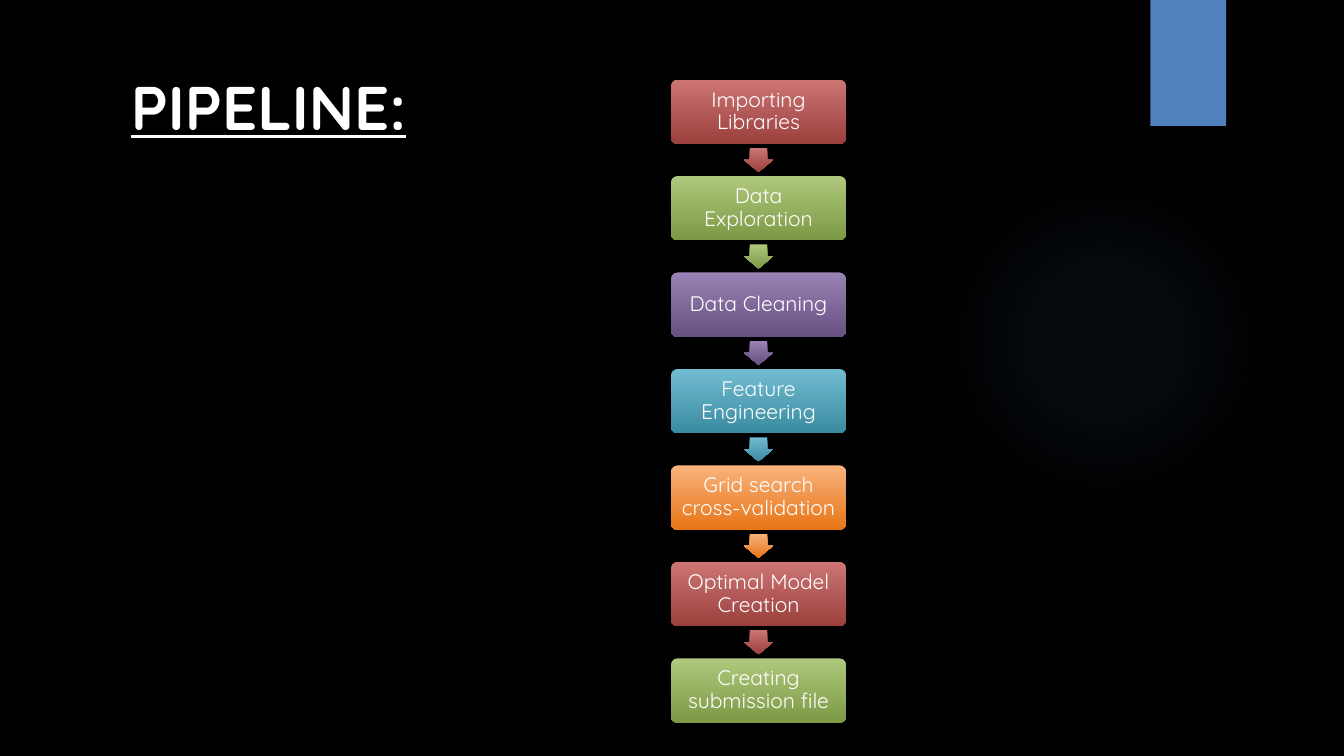
from lxml import etree
from pptx import Presentation
from pptx.dml.color import RGBColor
from pptx.enum.shapes import MSO_SHAPE as Preset
from pptx.enum.text import MSO_ANCHOR as Anchor, PP_ALIGN as Align
from pptx.oxml import parse_xml
from pptx.util import Pt

COLORS = {
    "background": "000000",
    "text": "FFFFFF",
    "tab": "4F81BD",
    "glow": "558ED5",
    "red": ("CC7573", "9B403D"),
    "green": ("AFC87D", "7D9945"),
    "purple": ("9882B3", "675082"),
    "teal": ("72BCD1", "3A8BA1"),
    "orange": ("F9B37C", "E77517"),
}
DRAWING = "http://schemas.openxmlformats.org/drawingml/2006/main"
GLOW_STOPS = [(0, 7), (36, 6), (69, 0)]
STEPS = [
    ("Importing Libraries", "red"),
    ("Data Exploration", "green"),
    ("Data Cleaning", "purple"),
    ("Feature Engineering", "teal"),
    ("Grid search cross-validation", "orange"),
    ("Optimal Model Creation", "red"),
    ("Creating submission file", "green"),
]
STEP_LEFT, STEP_TOP, STEP_WIDTH, STEP_HEIGHT = 479.4, 56.8, 124.9, 46
STEP_PITCH = 68.9
ARROW_WIDTH, ARROW_HEIGHT = 20.7, 17.25


class PipelineSlide:
    """Draws the elements of the pipeline slide in one shared style."""

    font = "Quicksand"

    def __init__(self, slide):
        self.slide = slide
        background = slide.background.fill
        background.solid()
        background.fore_color.rgb = RGBColor.from_string(COLORS["background"])

    def style(self, paragraph, size):
        font = paragraph.font
        font.name = self.font
        font.size = Pt(size)
        font.color.rgb = RGBColor.from_string(COLORS["text"])
        return font

    def shape(self, preset, left, top, width, height):
        shape = self.slide.shapes.add_shape(preset, Pt(left), Pt(top), Pt(width), Pt(height))
        shape.shadow.inherit = False
        shape.line.fill.background()
        return shape

    def gradient_shape(self, preset, box, color, adjustments):
        shape = self.shape(preset, *box)
        for index, value in enumerate(adjustments):
            shape.adjustments[index] = value
        shape.fill.gradient()
        shape.fill.gradient_angle = 270
        for stop, value in zip(shape.fill.gradient_stops, COLORS[color]):
            stop.color.rgb = RGBColor.from_string(value)
        return shape

    def glow(self, left, top, size):
        shape = self.shape(Preset.OVAL, left, top, size, size)
        shape.fill.solid()
        stops = "".join(
            f'<a:gs pos="{position * 1000}"><a:srgbClr val="{COLORS["glow"]}">'
            f'<a:alpha val="{alpha * 1000}"/></a:srgbClr></a:gs>'
            for position, alpha in GLOW_STOPS
        )
        gradient = parse_xml(
            f'<a:gradFill xmlns:a="{DRAWING}"><a:gsLst>{stops}</a:gsLst><a:path path="circle">'
            '<a:fillToRect l="50000" t="50000" r="50000" b="50000"/></a:path></a:gradFill>'
        )
        properties = shape.element.spPr
        properties.replace(properties.find(etree.QName(DRAWING, "solidFill").text), gradient)

    def tab(self, left, top, width, height):
        fill = self.shape(Preset.RECTANGLE, left, top, width, height).fill
        fill.solid()
        fill.fore_color.rgb = RGBColor.from_string(COLORS["tab"])

    def title(self, text, left, top, width, height):
        frame = self.slide.shapes.add_textbox(Pt(left), Pt(top), Pt(width), Pt(height)).text_frame
        frame.word_wrap = True
        frame.text = text
        font = self.style(frame.paragraphs[0], 44)
        font.bold = font.underline = True

    def step(self, text, color, top):
        box = STEP_LEFT, top, STEP_WIDTH, STEP_HEIGHT
        frame = self.gradient_shape(Preset.ROUNDED_RECTANGLE, box, color, [0.1]).text_frame
        frame.margin_left = frame.margin_right = Pt(4.5)
        frame.margin_top = frame.margin_bottom = Pt(4.5)
        frame.vertical_anchor = Anchor.MIDDLE
        frame.word_wrap = True
        frame.text = text
        paragraph = frame.paragraphs[0]
        paragraph.alignment = Align.CENTER
        paragraph.line_spacing = 0.9
        self.style(paragraph, 15)

    def arrow(self, color, step_top):
        left = STEP_LEFT + (STEP_WIDTH - ARROW_WIDTH) / 2
        top = step_top + (STEP_HEIGHT + STEP_PITCH - ARROW_HEIGHT) / 2
        box = left, top, ARROW_WIDTH, ARROW_HEIGHT
        self.gradient_shape(Preset.DOWN_ARROW, box, color, [0.6, 0.5])


def main():
    presentation = Presentation()
    presentation.slide_width, presentation.slide_height = Pt(960), Pt(540)
    pipeline = PipelineSlide(presentation.slides.add_slide(presentation.slide_layouts[6]))
    pipeline.glow(677.5, 131.8, 221.8)
    pipeline.tab(821.8, 0, 54, 90)
    pipeline.title("PIPELINE:", 86.4, 45.4, 671.8, 113.8)
    for index, (text, color) in enumerate(STEPS):
        top = STEP_TOP + index * STEP_PITCH
        pipeline.step(text, color, top)
        if index < len(STEPS) - 1:
            pipeline.arrow(color, top)
    presentation.save("out.pptx")


if __name__ == "__main__":
    main()
